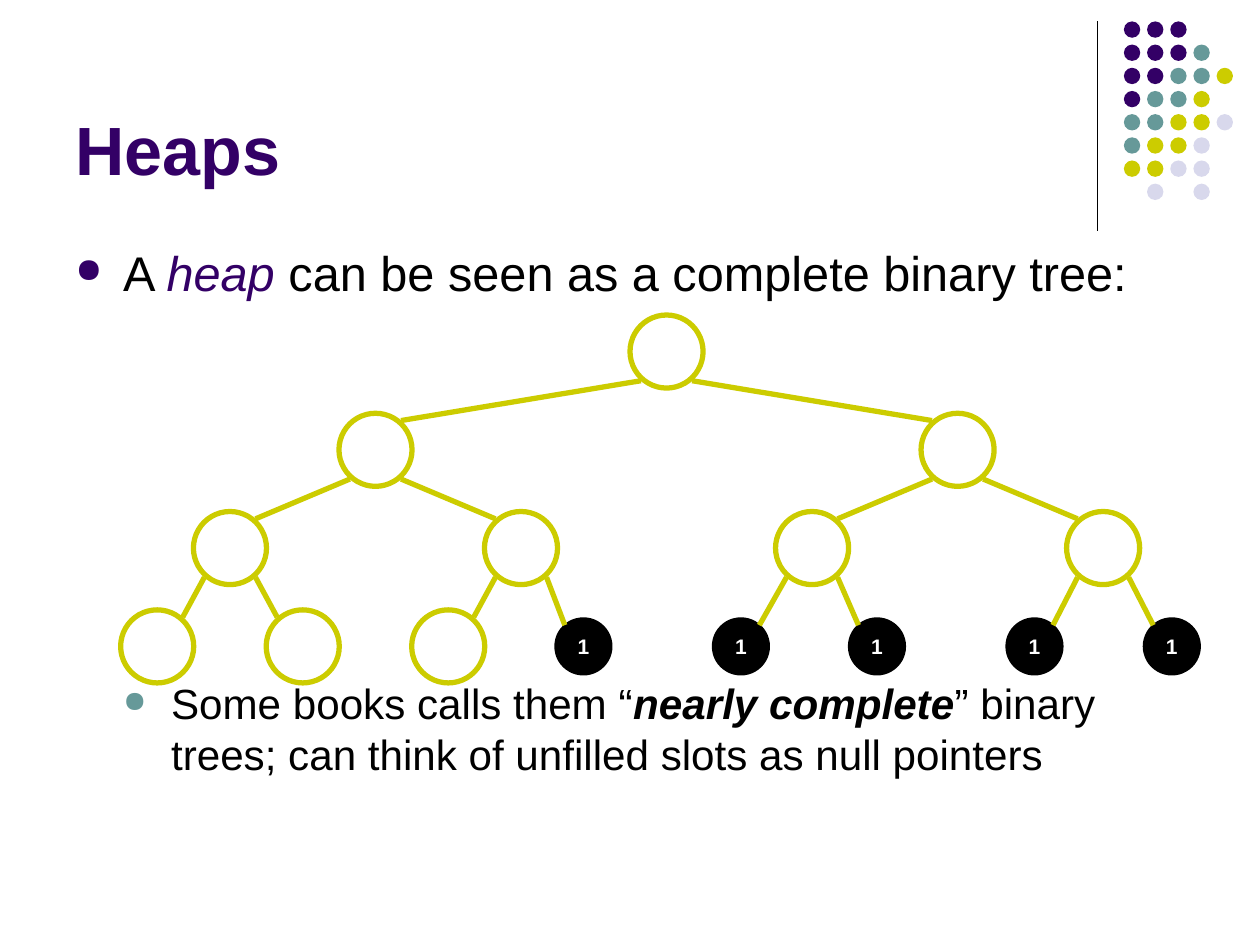
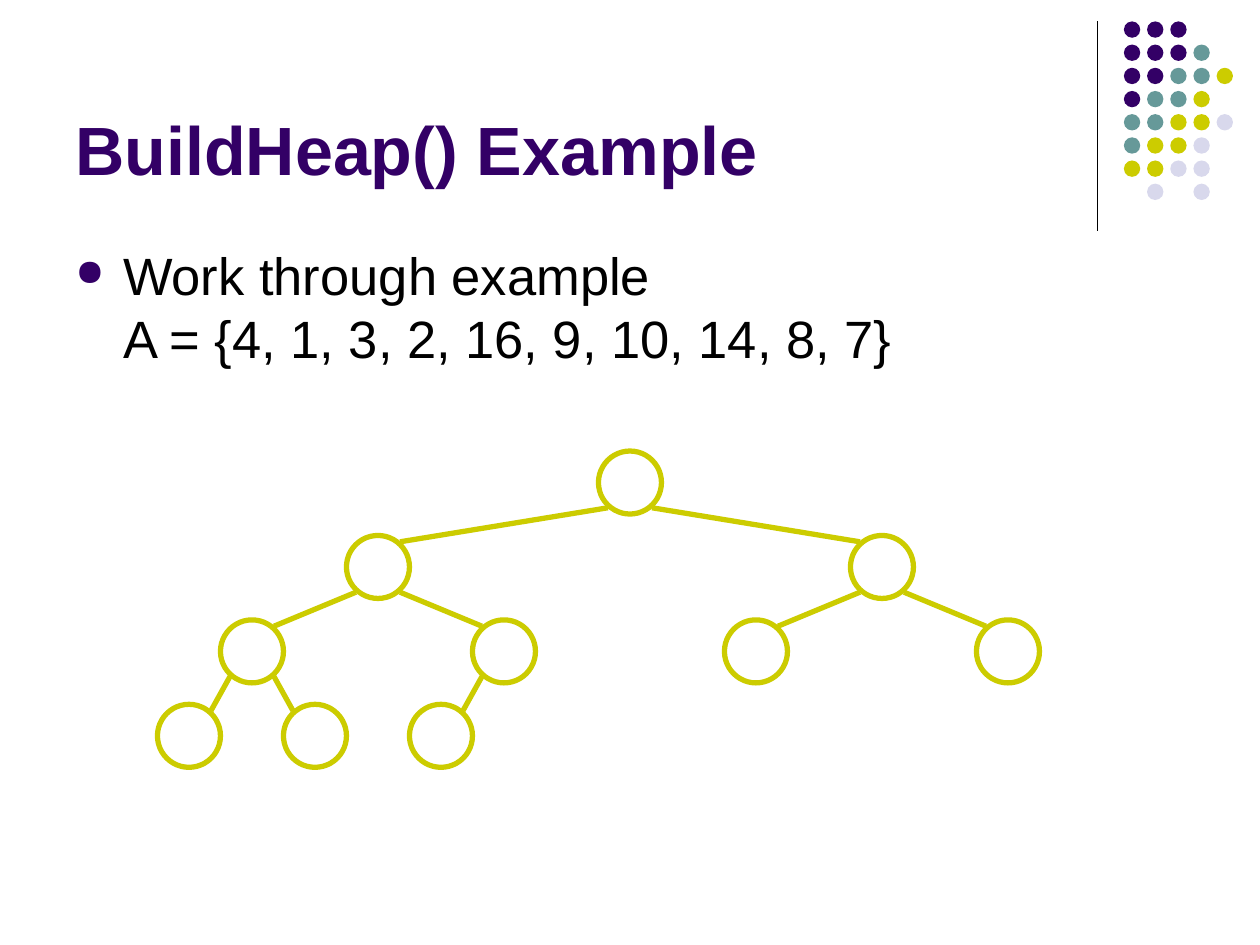
import pptx
import pptx.util
import pptx.dml.color
import pptx.enum.shapes
import pptx.enum.text
import pptx.oxml
import pptx.oxml.ns
from dataclasses import dataclass
from pptx.util import Inches


@dataclass(frozen=True)
class Theme:
    font: str = "Arial"
    ink: str = "000000"
    paper: str = "FFFFFF"
    purple: str = "330066"
    teal: str = "669999"
    olive: str = "CCCC00"
    mist: str = "D8D8EC"
    title_size: float = 39
    null_size: float = 12
    tree_line: float = 3
    rule_line: float = 0.74


THEME = Theme()
DOT_COLOURS = {"p": THEME.purple, "t": THEME.teal, "o": THEME.olive, "m": THEME.mist}
DOT_ROWS = ["ppp", "pppt", "pptto", "ptto", "ttoom", "toom", "oomm", " m m"]

BULLETS = {
    0: {"margin": 0.38, "colour": THEME.purple},
    1: {"margin": 0.76, "colour": THEME.teal},
}
HANGING = 0.38

SLIDES = [
    {
        "title": "Heaps",
        "body": [
            {"level": 0, "size": 27.8, "before": 7.5, "runs": [
                ("A ", ""), ("heap", "term"), (" can be seen as a complete binary tree:", "")]},
            {"level": 1, "size": 24.1, "before": 215, "runs": [
                ("Some books calls them “", ""), ("nearly complete", "strong"),
                ("” binary trees; can think of unfilled slots as null pointers", "")]},
        ],
        "tree": {"root": (5.29, 2.79), "span": 9.24, "drop": 0.78, "node": 0.58, "count": 10},
        "nulls": {"label": "1", "size": 0.42, "y": 5.13, "centres": [4.63, 5.88, 6.96, 8.21, 9.3]},
    },
    {
        "title": "BuildHeap() Example",
        "body": [
            {"level": 0, "size": 30, "before": 7.5, "runs": [
                ("Work through example\vA = {4, 1, 3, 2, 16, 9, 10, 14, 8, 7}", "")]},
        ],
        "tree": {"root": (5, 3.83), "span": 8, "drop": 0.67, "node": 0.5, "count": 10},
        "nulls": None,
    },
]


def rgb(colour):
    return pptx.dml.color.RGBColor.from_string(colour)


def style_font(font, size, colour, bold=False, italic=False):
    font.name = THEME.font
    font.size = pptx.util.Pt(size)
    font.color.rgb = rgb(colour)
    font.bold = bold
    font.italic = italic


def add_circle(shapes, centre, diameter, fill, outline=None):
    x, y = centre
    circle = shapes.add_shape(
        pptx.enum.shapes.MSO_SHAPE.OVAL, Inches(x - diameter / 2),
        Inches(y - diameter / 2), Inches(diameter), Inches(diameter))
    circle.shadow.inherit = False
    circle.fill.solid()
    circle.fill.fore_color.rgb = rgb(fill)
    if outline:
        circle.line.color.rgb = rgb(outline)
        circle.line.width = pptx.util.Pt(THEME.tree_line)
    else:
        circle.line.fill.background()
    return circle


def add_line(slide, start, end, colour, width):
    line = slide.shapes.add_connector(
        pptx.enum.shapes.MSO_CONNECTOR.STRAIGHT, *map(Inches, (*start, *end)))
    line.line.color.rgb = rgb(colour)
    line.line.width = pptx.util.Pt(width)
    properties = line._element.spPr
    properties.append(properties.makeelement(pptx.oxml.ns.qn("a:effectLst"), {}))


def add_decoration(slide):
    add_line(slide, (8.71, 0.17), (8.71, 1.83), THEME.ink, THEME.rule_line)
    dots = slide.shapes.add_group_shape().shapes
    pitch = 0.184
    for row, colours in enumerate(DOT_ROWS):
        for column, key in enumerate(colours):
            if key in DOT_COLOURS:
                centre = (8.985 + column * pitch, 0.235 + row * pitch)
                add_circle(dots, centre, 0.13, DOT_COLOURS[key])


def add_title(slide, title):
    frame = slide.shapes.add_textbox(*map(Inches, (0.5, 0.13, 8.25, 1.42))).text_frame
    frame.word_wrap = True
    frame.vertical_anchor = pptx.enum.text.MSO_ANCHOR.BOTTOM
    frame.text = title
    style_font(frame.paragraphs[0].runs[0].font, THEME.title_size, THEME.purple, bold=True)


def set_bullet(paragraph, level):
    bullet = BULLETS[level]
    paragraph.level = level
    properties = paragraph._p.get_or_add_pPr()
    properties.set("marL", str(Inches(bullet["margin"])))
    properties.set("indent", str(-Inches(HANGING)))
    namespace = pptx.oxml.ns.nsdecls("a")
    for xml in (
        f'<a:buClr {namespace}><a:srgbClr val="{bullet["colour"]}"/></a:buClr>',
        f'<a:buSzPct {namespace} val="70000"/>',
        f'<a:buChar {namespace} char="●"/>',
    ):
        properties.append(pptx.oxml.parse_xml(xml))


def add_body(slide, points):
    frame = slide.shapes.add_textbox(*map(Inches, (0.5, 1.88, 9, 4.82))).text_frame
    frame.word_wrap = True
    for index, point in enumerate(points):
        paragraph = frame.add_paragraph() if index else frame.paragraphs[0]
        paragraph.space_before = pptx.util.Pt(point["before"])
        set_bullet(paragraph, point["level"])
        if len(point["runs"]) == 1:
            paragraph.text = point["runs"][0][0]
        else:
            for words, _ in point["runs"]:
                paragraph.add_run().text = words
        styles = [style for _, style in point["runs"]]
        styles += [""] * (len(paragraph.runs) - len(styles))
        for run, style in zip(paragraph.runs, styles):
            colour = THEME.purple if style == "term" else THEME.ink
            style_font(run.font, point["size"], colour, style == "strong", style != "")


def place_nodes(tree, nulls):
    root_x, root_y = tree["root"]
    nodes = []
    for index in range(1, tree["count"] + 1):
        level = index.bit_length() - 1
        slot = index - 2 ** level
        x = root_x - tree["span"] / 2 + (slot + 0.5) * tree["span"] / 2 ** level
        nodes.append((x, root_y + level * tree["drop"], tree["node"]))
    if nulls:
        nodes += [(x, nulls["y"], nulls["size"]) for x in nulls["centres"]]
    return nodes


def add_tree(slide, tree, nulls):
    nodes = place_nodes(tree, nulls)
    for index, (x, y, size) in enumerate(nodes):
        if index < tree["count"]:
            add_circle(slide.shapes, (x, y), size, THEME.paper, THEME.olive)
            continue
        circle = add_circle(slide.shapes, (x, y), size, THEME.ink, THEME.ink)
        frame = circle.text_frame
        frame.word_wrap = False
        frame.vertical_anchor = pptx.enum.text.MSO_ANCHOR.MIDDLE
        frame.text = nulls["label"]
        frame.paragraphs[0].alignment = pptx.enum.text.PP_ALIGN.CENTER
        style_font(frame.paragraphs[0].runs[0].font, THEME.null_size, THEME.paper, bold=True)
    for index, (x, y, size) in enumerate(nodes[1:], start=1):
        parent_x, parent_y, parent_size = nodes[(index - 1) // 2]
        side = -1 if index % 2 else 1
        start = (parent_x + side * 0.35 * parent_size, parent_y + 0.4 * parent_size)
        end = (x - side * 0.35 * size, y - 0.4 * size)
        add_line(slide, start, end, THEME.olive, THEME.tree_line)


deck = pptx.Presentation()
deck.slide_width, deck.slide_height = Inches(10), Inches(7.5)
for content in SLIDES:
    slide = deck.slides.add_slide(deck.slide_layouts[6])
    add_decoration(slide)
    add_title(slide, content["title"])
    add_body(slide, content["body"])
    add_tree(slide, content["tree"], content["nulls"])
deck.save("out.pptx")
